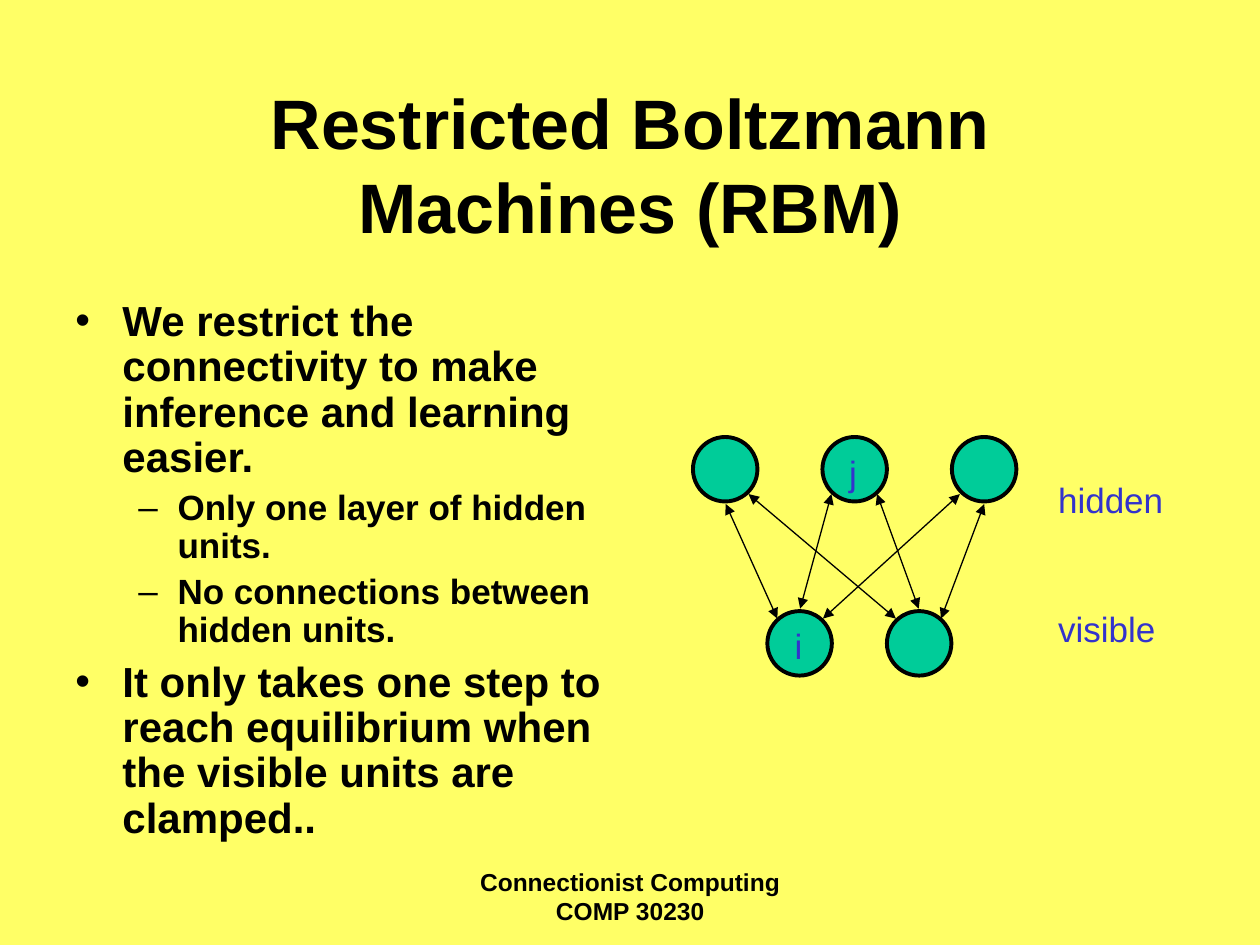
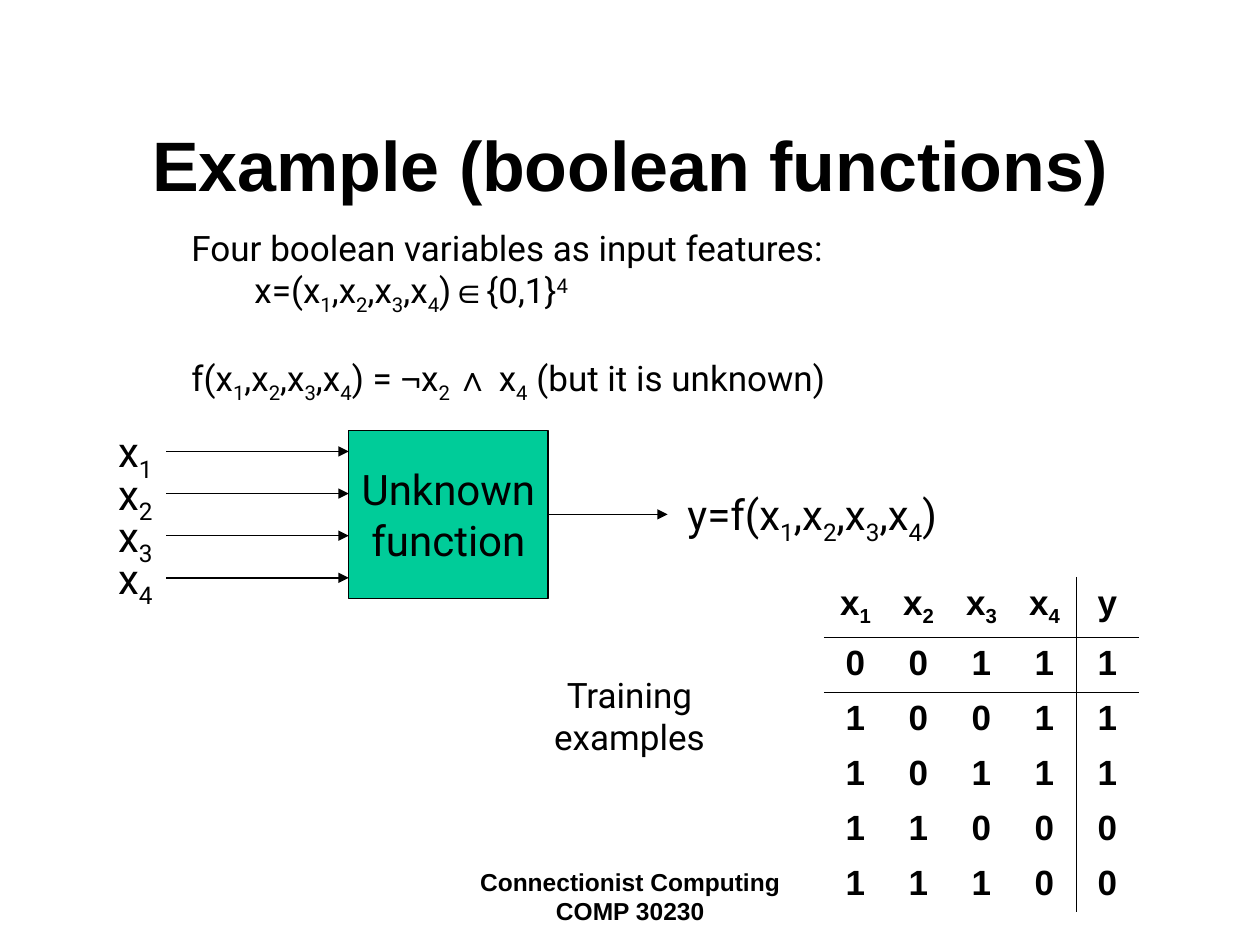
from lxml import etree
from pptx import Presentation
from pptx.dml.color import RGBColor
from pptx.enum.shapes import MSO_CONNECTOR, MSO_SHAPE
from pptx.enum.text import MSO_ANCHOR, PP_ALIGN
from pptx.oxml.ns import qn
from pptx.util import Cm, Pt

BLACK = RGBColor(0x00, 0x00, 0x00)
WHITE = RGBColor(0xFF, 0xFF, 0xFF)
YELLOW = RGBColor(0xFF, 0xFF, 0x66)
GREEN = RGBColor(0x00, 0xCC, 0x99)
BLUE = RGBColor(0x33, 0x33, 0xCC)
LEFT, CENTER = PP_ALIGN.LEFT, PP_ALIGN.CENTER
TOP, MIDDLE = MSO_ANCHOR.TOP, MSO_ANCHOR.MIDDLE
OVAL, RECT = MSO_SHAPE.OVAL, MSO_SHAPE.RECTANGLE
STRAIGHT = MSO_CONNECTOR.STRAIGHT

BASELINES = {"_": "-25000", "^": "30000"}
SYMBOLS = "∈¬∧"
NO_TABLE_STYLE = "{2D5ABB26-0587-4C30-8999-92F81FD0307C}"
ARGS = ",".join(f"x|_{i}|" for i in range(1, 5))


def write(tf, lines, size, name="Arial", color=BLACK, bold=False, wrap=True,
          anchor=TOP, **para):
    """Fill tf; '|' separates runs, '_' or '^' starts a sub- or superscript run."""
    tf.word_wrap = wrap
    tf.vertical_anchor = anchor
    for i, line in enumerate(lines):
        p = tf.paragraphs[0] if i == 0 else tf.add_paragraph()
        for key, value in para.items():
            setattr(p, key, value)
        for part in filter(None, line.split("|")):
            r = p.add_run()
            r.text = part.lstrip("_^")
            look = {"size": Pt(size), "bold": bold,
                    "name": "Arial" if part in SYMBOLS else name}
            for key, value in look.items():
                setattr(r.font, key, value)
            r.font.color.rgb = color
            if part[0] in BASELINES:
                r.font._element.set("baseline", BASELINES[part[0]])


def arrow(s, x1, y1, x2, y2, ends=("tailEnd",)):
    line = s.shapes.add_connector(STRAIGHT, Cm(x1), Cm(y1), Cm(x2), Cm(y2))
    line.line.color.rgb = BLACK
    line.line.width = Pt(0.75)
    ln = line.line._get_or_add_ln()
    for end in ends:
        etree.SubElement(ln, qn(f"a:{end}"), type="triangle")
    etree.SubElement(line._element.spPr, qn("a:effectLst"))


prs = Presentation()
prs.slide_width, prs.slide_height = Cm(25.4), Cm(19.05)

# Shared by both slides: background, footer and title
slides = []
for title, background in (("Restricted Boltzmann Machines (RBM)", YELLOW),
                          ("Example (boolean functions)", WHITE)):
    s = prs.slides.add_slide(prs.slide_layouts[6])
    s.background.fill.solid()
    s.background.fill.fore_color.rgb = background
    footer = s.shapes.add_textbox(Cm(8.68), Cm(17.35), Cm(8.05), Cm(1.27))
    write(footer.text_frame, ["Connectionist Computing COMP 30230"], 14,
          bold=True, alignment=CENTER)
    heading = s.shapes.add_textbox(Cm(1.9), Cm(1.7), Cm(21.6), Cm(3.18))
    write(heading.text_frame, [title], 40, bold=True, anchor=MIDDLE,
          alignment=CENTER)
    slides.append(s)
rbm, example = slides

# Slide 1: bullets
bullets = [
    (0, "We restrict the connectivity to make inference and learning easier."),
    (1, "Only one layer of hidden units."),
    (1, "No connections between hidden units."),
    (0, "It only takes one step to reach equilibrium when the visible units "
        "are clamped.."),
]
# level: character, text size, left margin, hanging indent, space before
bullet_styles = {0: ("•", 24, 0.95, 0.95, 6), 1: ("–", 20, 2.06, 0.79, 5)}
tf = rbm.shapes.add_textbox(Cm(1.27), Cm(5.93), Cm(11.22), Cm(12)).text_frame
write(tf, [text for level, text in bullets], 24, bold=True, line_spacing=0.9)
for p, (level, text) in zip(tf.paragraphs, bullets):
    char, size, margin, hang, before = bullet_styles[level]
    p.level = level
    p.space_before = Pt(before)
    p.runs[0].font.size = Pt(size)
    pPr = p._p.get_or_add_pPr()
    pPr.set("marL", str(Cm(margin)))
    pPr.set("indent", str(-Cm(hang)))
    etree.SubElement(pPr, qn("a:buFont"), typeface="Arial")
    etree.SubElement(pPr, qn("a:buChar"), char=char)

# Slide 1: network of hidden and visible units
hidden_units = [(13.97 + 2.61 * i, 8.81) for i in range(3)]
visible_units = [(15.47 + 2.41 * i, 12.32) for i in range(2)]
for x, y in hidden_units + visible_units:
    unit = rbm.shapes.add_shape(OVAL, Cm(x), Cm(y), Cm(1.3), Cm(1.3))
    unit.shadow.inherit = False
    unit.fill.solid()
    unit.fill.fore_color.rgb = GREEN
    unit.line.color.rgb = BLACK
    unit.line.width = Pt(2.25)

for ends in ((14.63, 10.16, 15.67, 12.47), (15.09, 9.96, 18.06, 12.47),
             (16.76, 9.96, 16.13, 12.27), (17.68, 9.96, 18.52, 12.27),
             (19.35, 9.96, 16.59, 12.47), (19.84, 10.16, 18.97, 12.47)):
    arrow(rbm, *ends, ends=("headEnd", "tailEnd"))

for label, x, y, width in (("hidden", 21.08, 9.53, 2.9), ("visible", 21.08, 12.12, 2.9),
                           ("i", 15.77, 12.47, 1), ("j", 16.87, 8.97, 1.2)):
    box = rbm.shapes.add_textbox(Cm(x), Cm(y), Cm(width), Cm(1.1))
    write(box.text_frame, [label], 20, color=BLUE)

# Slide 2: unknown function with its inputs and output
function = example.shapes.add_shape(RECT, Cm(7.03), Cm(8.68), Cm(4.02), Cm(3.38))
function.shadow.inherit = False
function.fill.solid()
function.fill.fore_color.rgb = GREEN
function.line.color.rgb = BLACK
function.line.width = Pt(0.75)
write(function.text_frame, ["Unknown", "function"], 24, "Roboto", wrap=False,
      anchor=MIDDLE, alignment=CENTER)

for i in range(4):
    y = 9.1 + 0.85 * i
    box = example.shapes.add_textbox(Cm(2.13), Cm(y - 0.64), Cm(1.22), Cm(1.42))
    write(box.text_frame, [f"x|_{i + 1}"], 24, "Roboto", wrap=False)
    arrow(example, 3.35, y, 7.03, y)
arrow(example, 11.05, 10.37, 13.46, 10.37)

# text, box, size, alignment, wrap
texts = [
    ([f"y=f({ARGS})"], (13.61, 9.73, 5.82, 1.42), 24, LEFT, False),
    (["Training", "examples"], (10.85, 13.46, 3.68, 1.96), 20, CENTER, False),
    (["Four boolean variables as input features:",
      f"\tx=({ARGS})|∈|{{0,1}}|^4",
      f"f({ARGS}) = |¬|x|_2 |∧| x|_4| (but it is unknown)"],
     (3.61, 4.45, 13.89, 4.72), 20, LEFT, True),
]
for lines, box, size, align, wrap in texts:
    tf = example.shapes.add_textbox(*map(Cm, box)).text_frame
    write(tf, lines, size, "Roboto", wrap=wrap, alignment=align)
tf.paragraphs[-1].space_before = Pt(23)

# Slide 2: training examples
rows = [[f"x|_{i}" for i in range(1, 5)] + ["y"],
        *map(list, ("00111", "10011", "10111", "11000", "11100"))]
table = example.shapes.add_table(6, 5, Cm(16.61), Cm(11.63), Cm(12.7 / 2),
                                 Cm(6.1)).table
table.first_row = table.horz_banding = False
table._tbl.tblPr[0].text = NO_TABLE_STYLE
for i, row in enumerate(rows):
    for j, value in enumerate(row):
        cell = table.cell(i, j)
        for side in ("left", "right", "top", "bottom"):
            setattr(cell, f"margin_{side}", Cm(0.13))
        write(cell.text_frame, [value], 20, bold=True, alignment=CENTER,
              space_before=Pt(5))
        borders = {"lnL": j == 4, "lnR": j == 3, "lnT": i == 1, "lnB": i == 0}
        for tag, shown in borders.items():
            if shown:
                ln = etree.SubElement(cell._tc.get_or_add_tcPr(), qn(f"a:{tag}"),
                                      w=str(Pt(0.45)))
                fill = etree.SubElement(ln, qn("a:solidFill"))
                etree.SubElement(fill, qn("a:srgbClr"), val=str(BLACK))
        cell.fill.background()

prs.save("out.pptx")
